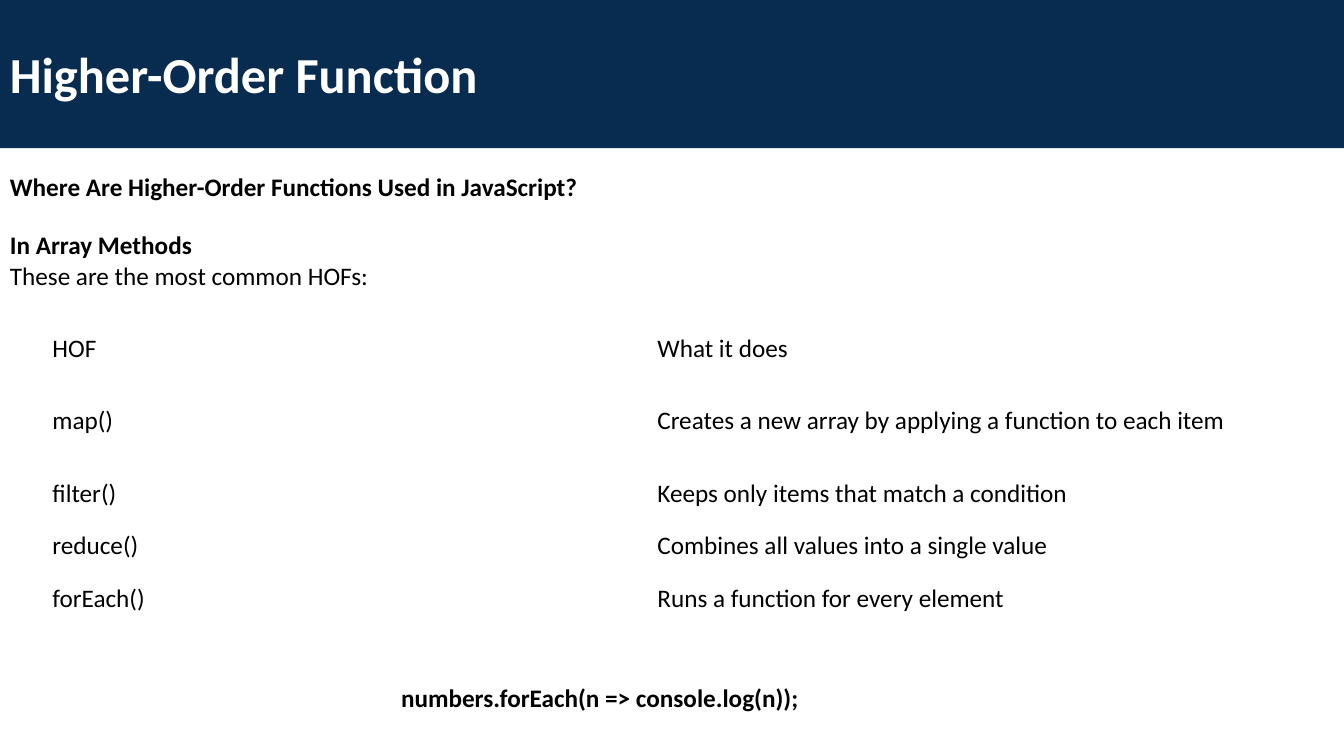
from pptx import Presentation
from pptx.dml.color import RGBColor
from pptx.enum.shapes import MSO_SHAPE as Shape
from pptx.enum.text import MSO_ANCHOR as Anchor, PP_ALIGN as Align
from pptx.util import Inches, Pt

NAVY = RGBColor(0x07, 0x2C, 0x4F)
WHITE = RGBColor(0xFF, 0xFF, 0xFF)
BLACK = RGBColor(0x00, 0x00, 0x00)
FONT = "Calibri"
BODY_SIZE = 18

TITLE = "Higher-Order Function"
TEXTS = [
    (0, 1.65, 0.4, [("Where Are Higher-Order Functions Used in JavaScript?", True)]),
    (0, 2.23, 0.71, [("In Array Methods", True),
                     ("These are the most common HOFs:", False)]),
    (3.88, 6.72, 0.4, [("numbers.forEach(n => console.log(n));", True)]),
]
METHODS = [
    ("HOF", "What it does"),
    ("map()", "Creates a new array by applying a function to each item"),
    ("filter()", "Keeps only items that match a condition"),
    ("reduce()", "Combines all values into a single value"),
    ("forEach()", "Runs a function for every element"),
]
SLIDE_WIDTH, SLIDE_HEIGHT = 13.33, 7.5
TEXT_WIDTH = 6.77
TABLE_LEFT, TABLE_TOP, COLUMN_WIDTH = 0.42, 3.2, 6
ROW_HEIGHT, TALL_ROW_HEIGHT, TALL_ROW = 0.52, 0.92, 1


def write(paragraph, text, size=BODY_SIZE, color=BLACK, bold=False):
    paragraph.text = text
    paragraph.alignment = Align.LEFT
    font = paragraph.font
    font.name, font.size, font.bold = FONT, Pt(size), bold
    font.color.rgb = color


def add_banner(slide):
    banner = slide.shapes.add_shape(
        Shape.RECTANGLE, 0, Inches(-0.02), Inches(SLIDE_WIDTH), Inches(1.49))
    banner.shadow.inherit = False
    banner.fill.solid()
    banner.fill.fore_color.rgb = NAVY
    banner.line.fill.background()
    banner.text_frame.vertical_anchor = Anchor.MIDDLE
    write(banner.text_frame.paragraphs[0], TITLE, 36, WHITE, True)


def add_text(slide, left, top, height, lines):
    box = slide.shapes.add_textbox(
        Inches(left), Inches(top), Inches(TEXT_WIDTH), Inches(height))
    frame = box.text_frame
    frame.word_wrap = True
    for index, (text, bold) in enumerate(lines):
        paragraph = frame.add_paragraph() if index else frame.paragraphs[0]
        write(paragraph, text, bold=bold)


def add_methods_table(slide):
    heights = [TALL_ROW_HEIGHT if row == TALL_ROW else ROW_HEIGHT
               for row in range(len(METHODS))]
    columns = len(METHODS[0])
    table = slide.shapes.add_table(
        len(METHODS), columns, Inches(TABLE_LEFT), Inches(TABLE_TOP),
        Inches(COLUMN_WIDTH * columns), Inches(sum(heights))).table
    table.first_row = table.horz_banding = False
    for row, height, texts in zip(table.rows, heights, METHODS):
        row.height = Inches(height)
        for cell, text in zip(row.cells, texts):
            cell.fill.background()
            cell.vertical_anchor = Anchor.MIDDLE
            write(cell.text_frame.paragraphs[0], text)


def main():
    presentation = Presentation()
    presentation.slide_width = Inches(SLIDE_WIDTH)
    presentation.slide_height = Inches(SLIDE_HEIGHT)
    slide = presentation.slides.add_slide(presentation.slide_layouts[6])
    add_banner(slide)
    for text in TEXTS:
        add_text(slide, *text)
    add_methods_table(slide)
    presentation.save("out.pptx")


if __name__ == "__main__":
    main()
